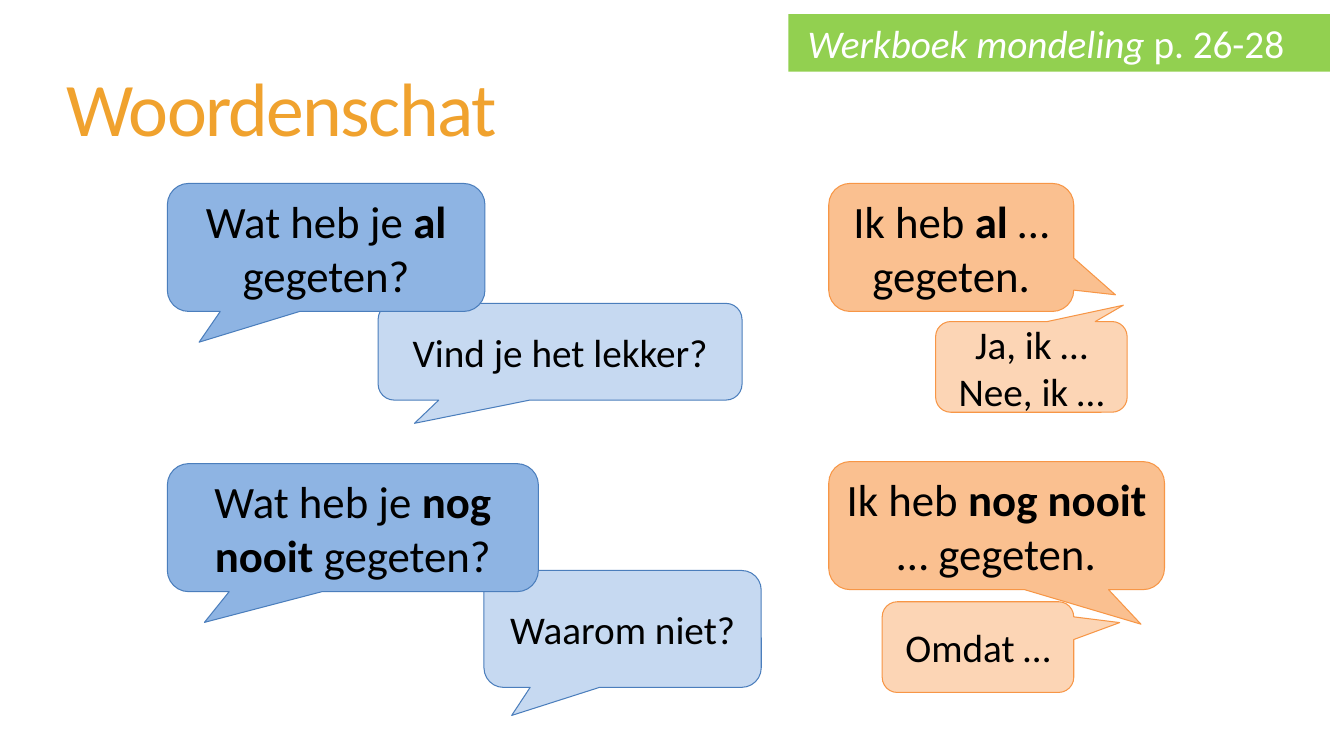
import pptx
import pptx.util
import pptx.dml.color
import pptx.enum.shapes
import pptx.enum.text
from dataclasses import dataclass

PX = 9144
SHAPE = pptx.enum.shapes.MSO_SHAPE
ALIGN = pptx.enum.text.PP_ALIGN
ANCHOR = pptx.enum.text.MSO_ANCHOR


@dataclass(frozen=True)
class Theme:
    font: str = "Calibri"
    text: str = "000000"
    title: str = "F0A22E"
    banner: str = "92D050"
    banner_text: str = "FFFFFF"
    blue: str = "8EB4E3"
    blue_light: str = "C6D9F1"
    blue_line: str = "4B7EBC"
    orange: str = "FAC090"
    orange_light: str = "FCD5B5"
    orange_line: str = "F79646"
    title_size: int = 54
    main_size: int = 32
    small_size: int = 28
    line_width: float = 0.75


THEME = Theme()


def rgb(color):
    return pptx.dml.color.RGBColor.from_string(color)


def box(px):
    return [pptx.util.Emu(n * PX) for n in px]


def add_run(p, text, size, color, bold=False, italic=False):
    r = p.add_run()
    r.text = text
    r.font.name = THEME.font
    r.font.size = pptx.util.Pt(size)
    r.font.color.rgb = rgb(color)
    r.font.bold = bold
    r.font.italic = italic
    return r


def add_filled(s, kind, px, fill, anchor):
    sp = s.shapes.add_shape(kind, *box(px))
    sp.shadow.inherit = False
    sp.fill.solid()
    sp.fill.fore_color.rgb = rgb(fill)
    sp.text_frame.word_wrap = True
    sp.text_frame.vertical_anchor = anchor
    return sp


def add_bubble(s, px, tail, fill, line, size, paragraphs):
    sp = add_filled(s, SHAPE.ROUNDED_RECTANGULAR_CALLOUT, px, fill, ANCHOR.MIDDLE)
    sp.adjustments[0], sp.adjustments[1] = tail
    sp.line.color.rgb = rgb(line)
    sp.line.width = pptx.util.Pt(THEME.line_width)
    tf = sp.text_frame
    for i, parts in enumerate(paragraphs):
        p = tf.add_paragraph() if i else tf.paragraphs[0]
        p.alignment = ALIGN.CENTER
        for j, text in enumerate(parts):
            add_run(p, text, size, THEME.text, bold=j == 1)


def add_question(s, px, parts, tail=(-0.4, 0.74)):
    add_bubble(s, px, tail, THEME.blue, THEME.blue_line, THEME.main_size, [parts])


def add_follow_up(s, px, text, tail=(-0.4, 0.74)):
    add_bubble(s, px, tail, THEME.blue_light, THEME.blue_line,
               THEME.small_size, [[text]])


def add_answer(s, px, tail, parts):
    add_bubble(s, px, tail, THEME.orange, THEME.orange_line,
               THEME.main_size, [parts])


def add_reply(s, px, tail, *lines):
    add_bubble(s, px, tail, THEME.orange_light, THEME.orange_line,
               THEME.small_size, [[line] for line in lines])


def add_title(s, px, text):
    tf = s.shapes.add_textbox(*box(px)).text_frame
    tf.word_wrap = True
    tf.vertical_anchor = ANCHOR.MIDDLE
    p = tf.paragraphs[0]
    p.line_spacing = 0.85
    r = add_run(p, text, THEME.title_size, THEME.title)
    r.font._element.set("spc", "-120")


def add_banner(s, px, book, pages):
    sp = add_filled(s, SHAPE.RECTANGLE, px, THEME.banner, ANCHOR.TOP)
    sp.line.fill.background()
    tf = sp.text_frame
    tf.margin_left = pptx.util.Emu(19 * PX)
    p = tf.paragraphs[0]
    p.alignment = ALIGN.LEFT
    add_run(p, book, THEME.small_size, THEME.banner_text, italic=True)
    add_run(p, pages, THEME.small_size, THEME.banner_text)


def main():
    prs = pptx.Presentation()
    prs.slide_width, prs.slide_height = box((1333, 750))
    s = prs.slides.add_slide(prs.slide_layouts[6])

    add_follow_up(s, (480, 566, 275, 116), "Waarom niet?")
    add_follow_up(s, (375, 301, 361, 96), "Vind je het lekker?")
    add_question(s, (166, 182, 315, 127), ["Wat heb je ", "al", " gegeten?"])
    add_question(s, (166, 460, 368, 127), ["Wat heb je ", "nog nooit ", "gegeten?"])
    add_answer(s, (822, 182, 243, 127), (0.67, 0.37),
               ["Ik heb ", "al ", "… gegeten."])
    add_answer(s, (822, 458, 333, 127), (0.43, 0.77),
               ["Ik heb ", "nog nooit ", "… gegeten."])
    add_reply(s, (875, 597, 190, 90), (0.74, -0.27), "Omdat …")
    add_reply(s, (928, 319, 190, 90), (0.48, -0.68), "Ja, ik …", "Nee, ik …")
    add_title(s, (56, 22, 1178, 181), "Woordenschat")
    add_banner(s, (782, 14, 537, 57), "Werkboek mondeling ", "p. 26-28")

    prs.save("out.pptx")


if __name__ == "__main__":
    main()
